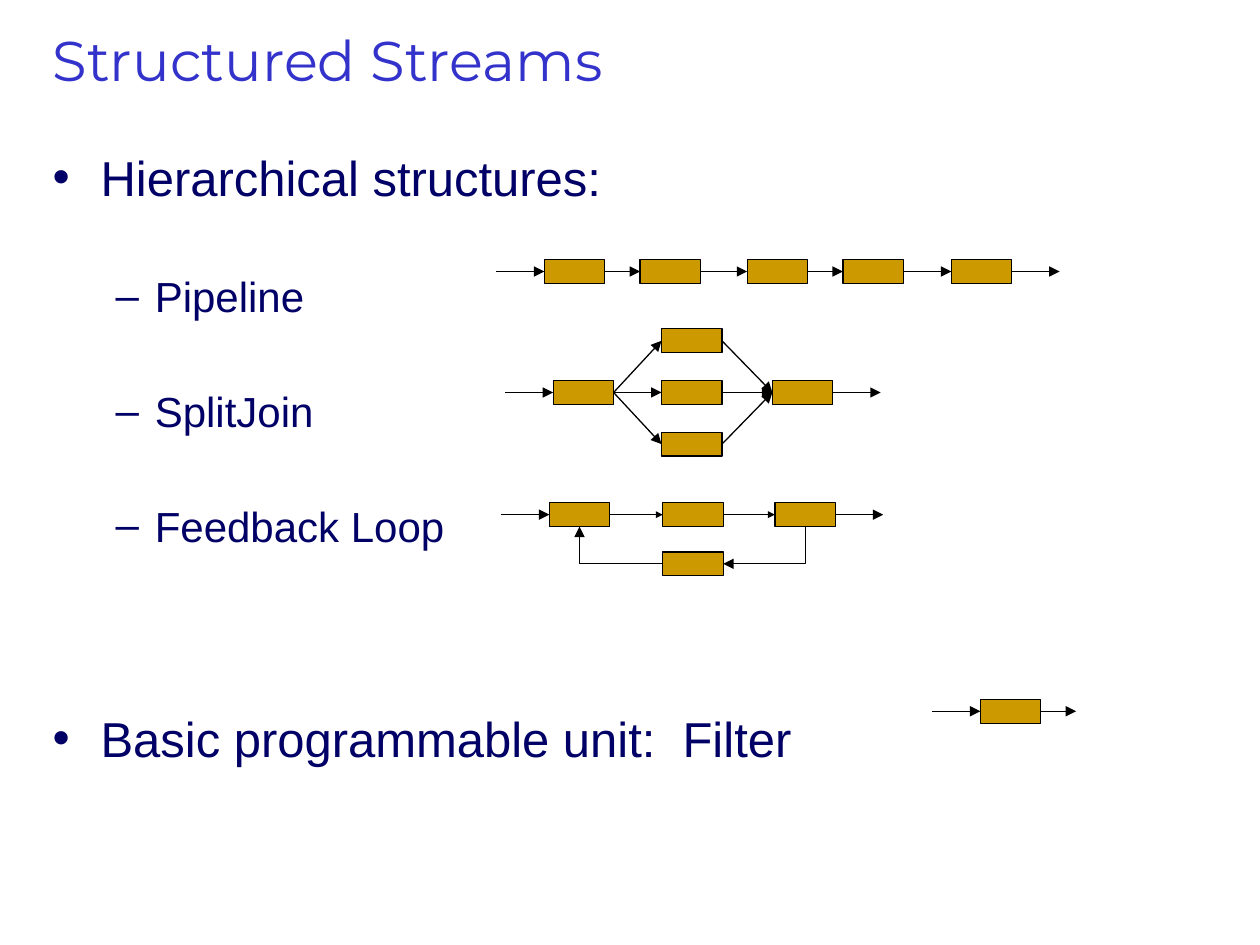
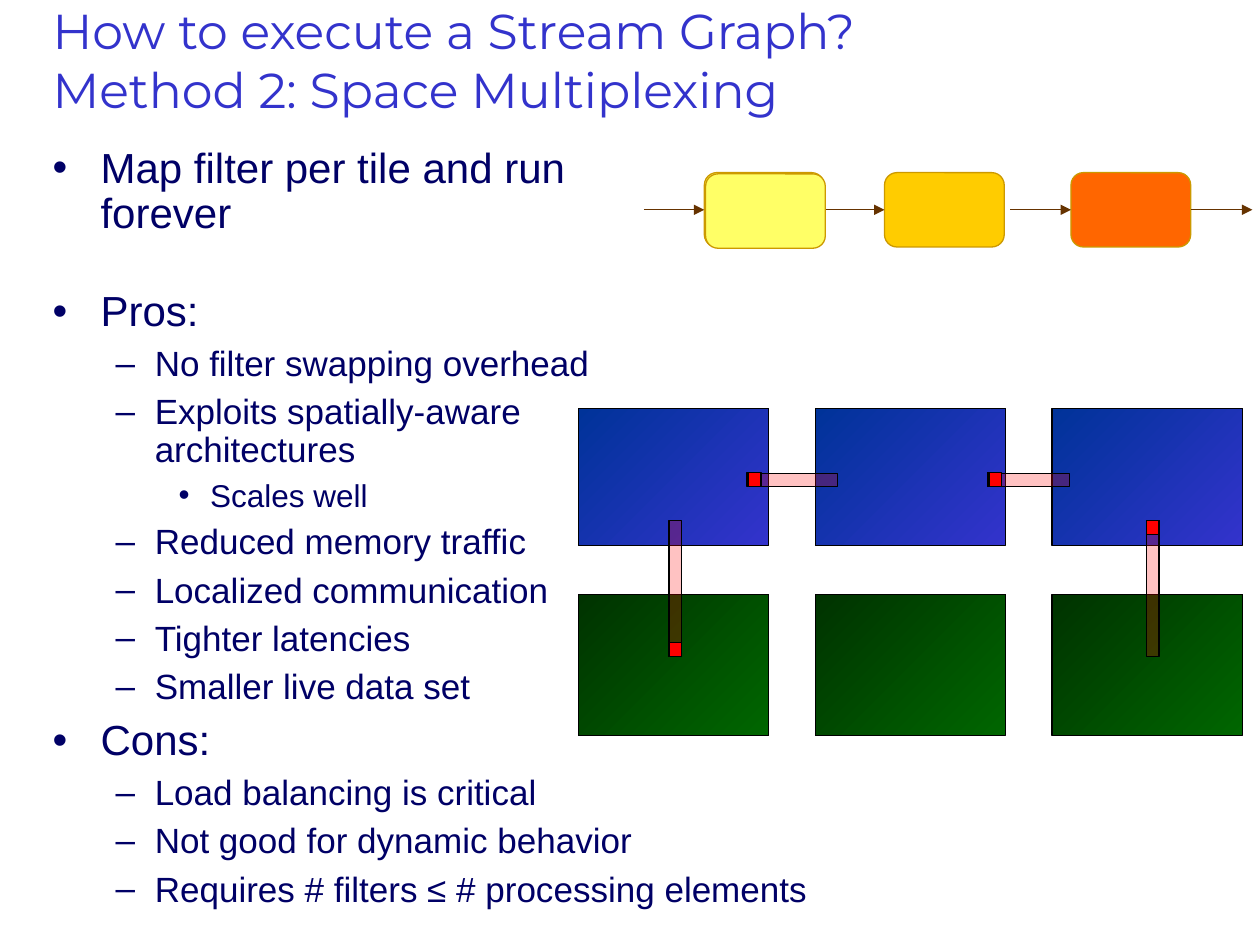
from collections import namedtuple

from lxml import etree
from pptx import Presentation
from pptx.dml.color import RGBColor
from pptx.enum.shapes import MSO_CONNECTOR, MSO_SHAPE
from pptx.enum.text import MSO_ANCHOR
from pptx.oxml.ns import qn
from pptx.util import Inches, Pt

RECTANGLE = MSO_SHAPE.RECTANGLE
ROUNDED = MSO_SHAPE.ROUNDED_RECTANGLE
STRAIGHT = MSO_CONNECTOR.STRAIGHT
ELBOW = MSO_CONNECTOR.ELBOW
MIDDLE = MSO_ANCHOR.MIDDLE
TOP, LEFT, BOTTOM, RIGHT = range(4)

BLACK = RGBColor(0x00, 0x00, 0x00)
TITLE_BLUE = RGBColor(0x33, 0x33, 0xCC)
TEXT_NAVY = RGBColor(0x00, 0x00, 0x66)
GOLD = RGBColor(0xCC, 0x99, 0x00)
BROWN = RGBColor(0x66, 0x33, 0x00)
RED = RGBColor(0xFF, 0x00, 0x00)
YELLOW = RGBColor(0xFF, 0xFF, 0x66)
AMBER = RGBColor(0xFF, 0xCC, 0x00)
ORANGE = RGBColor(0xFF, 0x66, 0x00)
BLUE_TILE = (TITLE_BLUE, RGBColor(0x00, 0x33, 0x99))
GREEN_TILE = (RGBColor(0x00, 0x66, 0x00), RGBColor(0x00, 0x33, 0x00))

TITLE_FONT, BODY_FONT = "Montserrat", "Arial"
LINE_WIDTH = Pt(0.75)
# Bullet, left margin and hanging indent of each outline level
LEVELS = [("•", 0.38, 0.38), ("–", 0.81, 0.31), ("•", 1.25, 0.25)]

# Middle of one side of a shape, where an arrow can be joined
Port = namedtuple("Port", "shape side")
# One outline entry
Item = namedtuple("Item", "level text size space_before line_spacing")


class Deck:
    def __init__(self):
        self.presentation = Presentation()
        self.presentation.slide_width = Inches(10)
        self.presentation.slide_height = Inches(7.5)
        self.slide = None

    def new_slide(self, title, size):
        layout = self.presentation.slide_layouts[6]
        self.slide = self.presentation.slides.add_slide(layout)
        frame = self.text_frame(0.32, 0.14, 9.52, 0.66)
        frame.vertical_anchor = MIDDLE
        paragraph = frame.paragraphs[0]
        paragraph.text = title
        self.set_font(paragraph, TITLE_FONT, size, TITLE_BLUE)

    def text_frame(self, left, top, width, height):
        box = self.slide.shapes.add_textbox(
            Inches(left), Inches(top), Inches(width), Inches(height))
        box.text_frame.word_wrap = True
        return box.text_frame

    def set_font(self, paragraph, name, size, color):
        font = paragraph.font
        font.name, font.size = name, Pt(size)
        font.color.rgb = color

    def outline(self, width, items):
        frame = self.text_frame(0.32, 1.12, width, 6.18)
        for index, item in enumerate(items):
            paragraph = frame.add_paragraph() if index else frame.paragraphs[0]
            paragraph.text = item.text
            paragraph.level = item.level
            paragraph.line_spacing = item.line_spacing
            paragraph.space_before = Pt(item.space_before)
            self.set_bullet(paragraph, *LEVELS[item.level])
            self.set_font(paragraph, BODY_FONT, item.size, TEXT_NAVY)

    def set_bullet(self, paragraph, character, margin, hanging):
        properties = paragraph._p.get_or_add_pPr()
        properties.set("marL", str(Inches(margin)))
        properties.set("indent", str(-Inches(hanging)))
        color = etree.SubElement(properties, qn("a:buClr"))
        etree.SubElement(color, qn("a:srgbClr"), val=str(TEXT_NAVY))
        etree.SubElement(properties, qn("a:buFont"), typeface=BODY_FONT)
        etree.SubElement(properties, qn("a:buChar"), char=character)

    def box(self, left, top, width, height, fill, line=BLACK, kind=RECTANGLE, alpha=None):
        shape = self.slide.shapes.add_shape(
            kind, Inches(left), Inches(top), Inches(width), Inches(height))
        shape.shadow.inherit = False
        shape.line.color.rgb = line
        shape.line.width = LINE_WIDTH
        if isinstance(fill, RGBColor):
            shape.fill.solid()
            shape.fill.fore_color.rgb = fill
        else:
            shape.fill.gradient()
            shape.fill.gradient_angle = 135
            for stop, color in zip(shape.fill.gradient_stops, fill):
                stop.color.rgb = color
        if alpha is not None:
            color = shape._element.spPr.find(qn("a:solidFill")).find(qn("a:srgbClr"))
            etree.SubElement(color, qn("a:alpha"), val=str(alpha * 1000))
        return shape

    def unit(self, left, top):
        """Small gold rectangle that stands for one filter."""
        return self.box(left, top, 0.48, 0.19, GOLD)

    def arrow(self, start, end, color=BLACK, kind=STRAIGHT, head="a:tailEnd", head_size="med"):
        """Draw from start to end; each is a Port or an (x, y) in EMU."""
        begin_point, end_point = [
            (0, 0) if isinstance(place, Port) else place for place in (start, end)]
        connector = self.slide.shapes.add_connector(kind, *begin_point, *end_point)
        if isinstance(start, Port):
            connector.begin_connect(*start)
        if isinstance(end, Port):
            connector.end_connect(*end)
        connector.line.color.rgb = color
        connector.line.width = LINE_WIDTH
        properties = connector._element.spPr
        if kind == ELBOW:
            properties.find(qn("a:prstGeom")).set("prst", "bentConnector2")
        etree.SubElement(properties.find(qn("a:ln")), qn(head),
                         type="triangle", w=head_size, len=head_size)
        etree.SubElement(properties, qn("a:effectLst"))

    def link(self, source, target, **style):
        self.arrow(Port(source, RIGHT), Port(target, LEFT), **style)

    def flow_in(self, shape, length=0.38, color=BLACK):
        start = (shape.left - Inches(length), shape.top + shape.height // 2)
        self.arrow(start, Port(shape, LEFT), color)

    def flow_out(self, shape, length=0.38, color=BLACK):
        end = (shape.left + shape.width + Inches(length), shape.top + shape.height // 2)
        self.arrow(Port(shape, RIGHT), end, color)


def structured_streams(deck):
    deck.new_slide("Structured Streams", 32)
    deck.outline(9.52, [
        Item(0, "Hierarchical structures:", 28, 0, 1),
        *[Item(1, name, 24, 8, 2) for name in ("Pipeline", "SplitJoin", "Feedback Loop")],
        Item(0, "Basic programmable unit:  Filter", 28, 70, 1.6),
    ])

    # Pipeline
    stages = [deck.unit(left, 2.06) for left in (4.32, 5.08, 5.93, 6.69, 7.55)]
    deck.flow_in(stages[0])
    for source, target in zip(stages, stages[1:]):
        deck.link(source, target)
    deck.flow_out(stages[-1])

    # Split and join
    splitter, joiner = deck.unit(4.39, 3.02), deck.unit(6.13, 3.02)
    deck.flow_in(splitter)
    for row in range(3):
        branch = deck.unit(5.25, 2.61 + row * 0.41)
        deck.link(splitter, branch)
        deck.link(branch, joiner)
    deck.flow_out(joiner)

    # Feedback loop
    entry, body, leave = [deck.unit(left, 3.99) for left in (4.36, 5.26, 6.15)]
    feedback = deck.unit(5.26, 4.38)
    deck.flow_in(entry)
    deck.link(entry, body, head_size="sm")
    deck.link(body, leave, head_size="sm")
    deck.flow_out(leave)
    deck.arrow(Port(feedback, RIGHT), Port(leave, BOTTOM), kind=ELBOW, head="a:headEnd")
    deck.arrow(Port(feedback, LEFT), Port(entry, BOTTOM), kind=ELBOW)

    # Single filter
    single = deck.unit(7.78, 5.55)
    deck.flow_in(single)
    deck.flow_out(single, 0.28)


def space_multiplexing(deck):
    deck.new_slide("How to execute a Stream Graph?\vMethod 2: Space Multiplexing", 28)

    # Tiles
    for column in range(3):
        left = 4.59 + column * 1.88
        deck.box(left, 3.24, 1.51, 1.09, BLUE_TILE)
        deck.box(left, 4.72, 1.51, 1.12, GREEN_TILE)

    # Outline: size and space before depend on the level
    sizes, spaces = (24, 20, 18), (7, 6, 5.5)
    entries = [
        (0, "Map filter per tile and run\vforever"),
        (0, "Pros:"),
        (1, "No filter swapping overhead"),
        (1, "Exploits spatially-aware\varchitectures"),
        (2, "Scales well"),
        (1, "Reduced memory traffic"),
        (1, "Localized communication"),
        (1, "Tighter latencies"),
        (1, "Smaller live data set"),
        (0, "Cons:"),
        (1, "Load balancing is critical"),
        (1, "Not good for dynamic behavior"),
        (1, "Requires # filters ≤ # processing elements"),
    ]
    wider_spaces = {0: 0, 1: 30}
    deck.outline(6.71, [
        Item(level, text, sizes[level], wider_spaces.get(index, spaces[level]), 0.9)
        for index, (level, text) in enumerate(entries)])

    # Stream of filters; the first one is doubled
    def stream_filter(left, top, fill):
        return deck.box(left, top, 0.95, 0.59, fill, GOLD, ROUNDED)

    first, second, third = [
        stream_filter(left, 1.37, fill)
        for left, fill in ((5.59, YELLOW), (7.02, AMBER), (8.5, ORANGE))]
    deck.flow_in(first, 0.48, BROWN)
    deck.link(first, second, color=BROWN)
    deck.flow_in(third, 0.48, BROWN)
    deck.flow_out(third, 0.49, BROWN)
    stream_filter(5.6, 1.38, YELLOW)

    # Channels between tiles
    for left, top, width, height in ((5.31, 4.13, 0.1, 1.08), (9.1, 4.13, 0.1, 1.08),
                                     (5.93, 3.76, 0.72, 0.1), (7.84, 3.76, 0.65, 0.1)):
        deck.box(left, top, width, height, RED, alpha=24)

    # Data items in the channels
    for left, top in ((7.84, 3.75), (5.93, 3.75), (7.85, 3.75),
                      (5.31, 5.1), (5.94, 3.75), (9.1, 4.13)):
        deck.box(left, top, 0.1, 0.11, RED)


def main():
    deck = Deck()
    structured_streams(deck)
    space_multiplexing(deck)
    deck.presentation.save("out.pptx")


if __name__ == "__main__":
    main()
